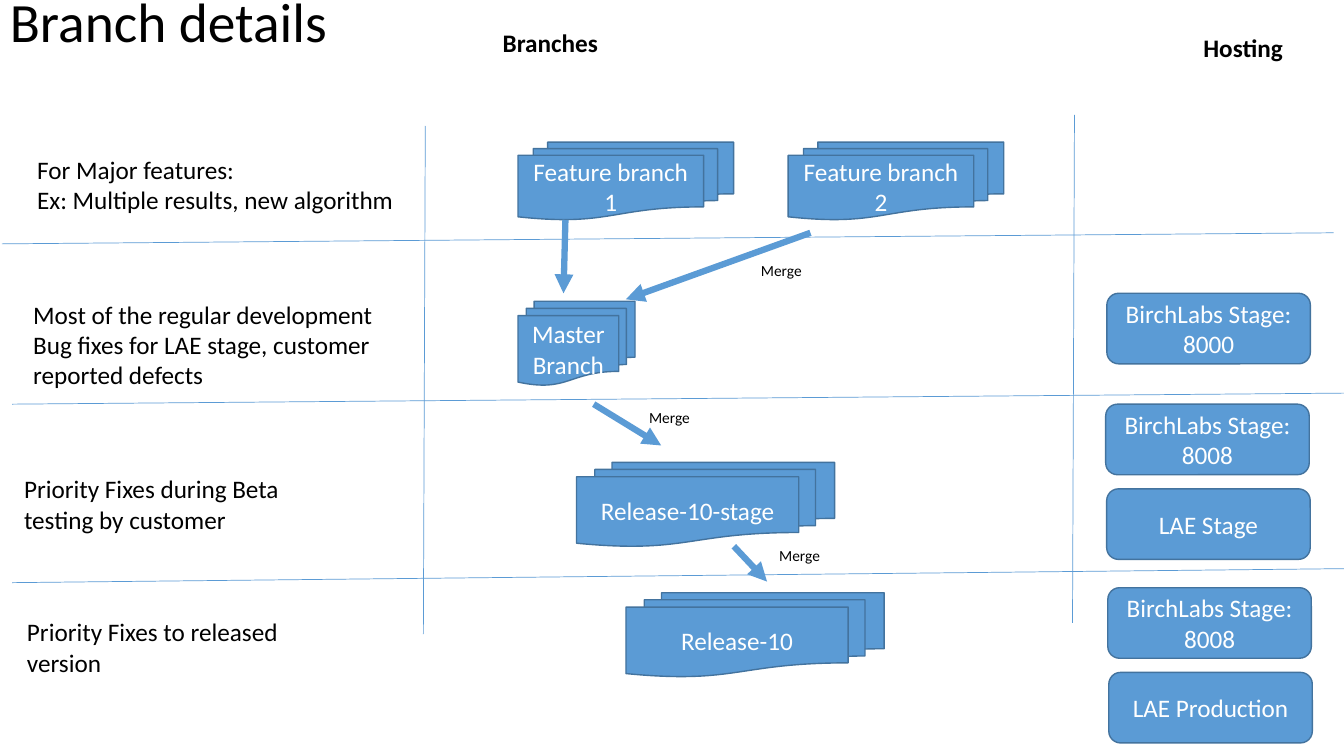
from pptx import Presentation
from pptx import util as u
from pptx.dml.color import RGBColor
from pptx.enum import shapes, text
from pptx.oxml.ns import qn
from lxml import etree


class Theme:
    """Colours, font and type sizes of the slide."""
    font = "Calibri"
    ink = RGBColor(0, 0, 0)
    light = RGBColor(255, 255, 255)
    fill = RGBColor(0x5B, 0x9B, 0xD5)
    edge = RGBColor(0x43, 0x73, 0x9E)
    title, body, note = 39.6, 18, 11
    thin, rim, thick = 0.5, 1, 4.5


def write(frame, lines, size, color, bold=False, align=None, space=None):
    """Fill a text frame with one run per paragraph."""
    for i, line in enumerate(lines):
        para = frame.paragraphs[0] if i == 0 else frame.add_paragraph()
        para.alignment = align
        para.line_spacing = space
        run = para.add_run()
        run.text = line
        font = run.font
        font.name, font.size, font.bold = Theme.font, u.Pt(size), bold
        font.color.rgb = color


def label(slide, box, lines, size=Theme.body, wrap=True, bold=False,
          anchor=text.MSO_ANCHOR.TOP, space=None):
    """Add a text box."""
    frame = slide.shapes.add_textbox(*map(u.Pt, box)).text_frame
    frame.word_wrap = wrap
    frame.vertical_anchor = anchor
    write(frame, lines, size, Theme.ink, bold, space=space)


def block(slide, kind, box, name):
    """Add a filled shape with centred text."""
    shape = slide.shapes.add_shape(kind, *map(u.Pt, box))
    shape.shadow.inherit = False
    shape.fill.solid()
    shape.fill.fore_color.rgb = Theme.fill
    shape.line.color.rgb = Theme.edge
    shape.line.width = u.Pt(Theme.rim)
    shape.text_frame.vertical_anchor = text.MSO_ANCHOR.MIDDLE
    write(shape.text_frame, [name], Theme.body, Theme.light,
          align=text.PP_ALIGN.CENTER)


def rule(slide, ends, width=Theme.thin, arrow=False):
    """Add a straight line, with an arrowhead if asked."""
    line = slide.shapes.add_connector(
        shapes.MSO_CONNECTOR.STRAIGHT, *map(u.Pt, ends))
    line.line.color.rgb = Theme.fill
    line.line.width = u.Pt(width)
    if arrow:
        tail = etree.SubElement(line.line._get_or_add_ln(), qn("a:tailEnd"))
        tail.set("type", "triangle")
    etree.SubElement(line._element.spPr, qn("a:effectLst"))


def grid(slide, box):
    """Draw the slightly tilted row and column dividers."""
    x, y, w, h = box
    for col, top in ((303.8, 90), (767.5, 82.1)):
        rule(slide, (x + col, y + top, x + col - 1.4, y + top + 362.9))
    for left, right, start, end in ((1.4, 7.4, 174.2, 166.3),
                                    (8.6, 0, 288.7, 280.8),
                                    (8.6, 0, 416.2, 406.2)):
        rule(slide, (x + left, y + start, x + w - right, y + end))


def needs(slide, box):
    """Place the title and the reason for each row."""
    x, y, w, h = box
    label(slide, (x, y, 828, 35.3), ["Branch details"], Theme.title,
          anchor=text.MSO_ANCHOR.MIDDLE, space=0.9)
    rows = (
        (19.4, 106.6, 272.2, 51, False,
         ["For Major features:", "Ex: Multiple results, new algorithm"]),
        (16.6, 210.2, 262, 72.7, True,
         ["Most of the regular development",
          "Bug fixes for LAE stage, customer reported defects"]),
        (10.1, 334.8, 231.8, 51, True,
         ["Priority Fixes during Beta testing by customer"]),
        (12.2, 437, 231.8, 51, True, ["Priority Fixes to released version"]))
    for left, top, wide, tall, wrap, lines in rows:
        label(slide, (x + left, y + top, wide, tall), lines, wrap=wrap)


def flow(slide, box):
    """Place the branches, the merge arrows and their notes."""
    x, y, w, h = box
    label(slide, (x + 48, y + 15.8, 356.4, 29), ["Branches"], bold=True)
    stacks = ((66, 101.5, 154, 55.5, "Feature branch 1"),
              (259, 101.5, 154, 55.5, "Feature branch 2"),
              (66, 215.2, 83.6, 60, "Master Branch"),
              (107.8, 330.3, 184.4, 60, "Release-10-stage"),
              (143.1, 423.4, 184.4, 60, "Release-10"))
    for left, top, wide, tall, name in stacks:
        block(slide, shapes.MSO_SHAPE.FLOWCHART_MULTIDOCUMENT,
              (x + left, y + top, wide, tall), name)
    for ax, ay, bx, by in ((99.9, 157, 98.5, 209.5),
                           (274.9, 166.3, 143.1, 213.8),
                           (120.1, 288.7, 168.3, 318.2),
                           (220.2, 390.2, 243.9, 415.4)):
        rule(slide, (x + ax, y + ay, x + bx, y + by), Theme.thick, True)
    for left, top in ((232.4, 182.9), (152.5, 288), (245.4, 386.6)):
        label(slide, (x + left, y + top, 43.9, 20.9), ["Merge"],
              Theme.note, wrap=False)


def hosts(slide, box):
    """Place the hosting column."""
    x, y, w, h = box
    label(slide, (x + 84.5, y + 19.4, 72, 29), ["Hosting"],
          wrap=False, bold=True)
    groups = ((22.6, 209.5, ["BirchLabs Stage: 8000"]),
              (21.8, 288.7, ["BirchLabs Stage: 8008", "LAE Stage"]),
              (23.3, 419.8, ["BirchLabs Stage: 8008", "LAE Production"]))
    for left, top, names in groups:
        for i, name in enumerate(names):
            block(slide, shapes.MSO_SHAPE.ROUNDED_RECTANGLE,
                  (x + left + 0.7 * i, y + top + 60.5 * i, 145.4, 50.4), name)


def main():
    """Build the slide and save it."""
    deck = Presentation()
    deck.slide_width, deck.slide_height = u.Pt(960), u.Pt(540)
    slide = deck.slides.add_slide(deck.slide_layouts[6])
    needs(slide, (0, 0, 304, 540))
    flow(slide, (304, 0, 464, 540))
    hosts(slide, (768, 0, 192, 540))
    grid(slide, (0, 0, 960, 540))
    deck.save("out.pptx")


main()
